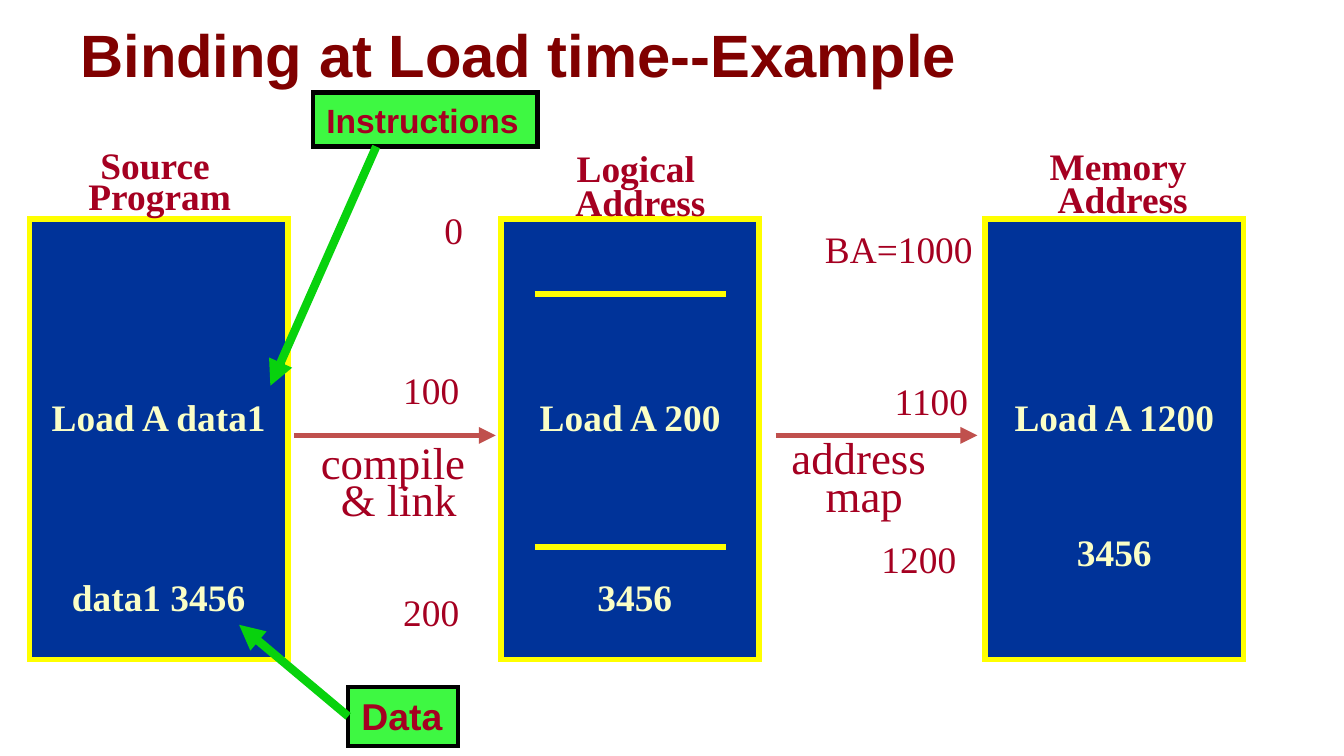
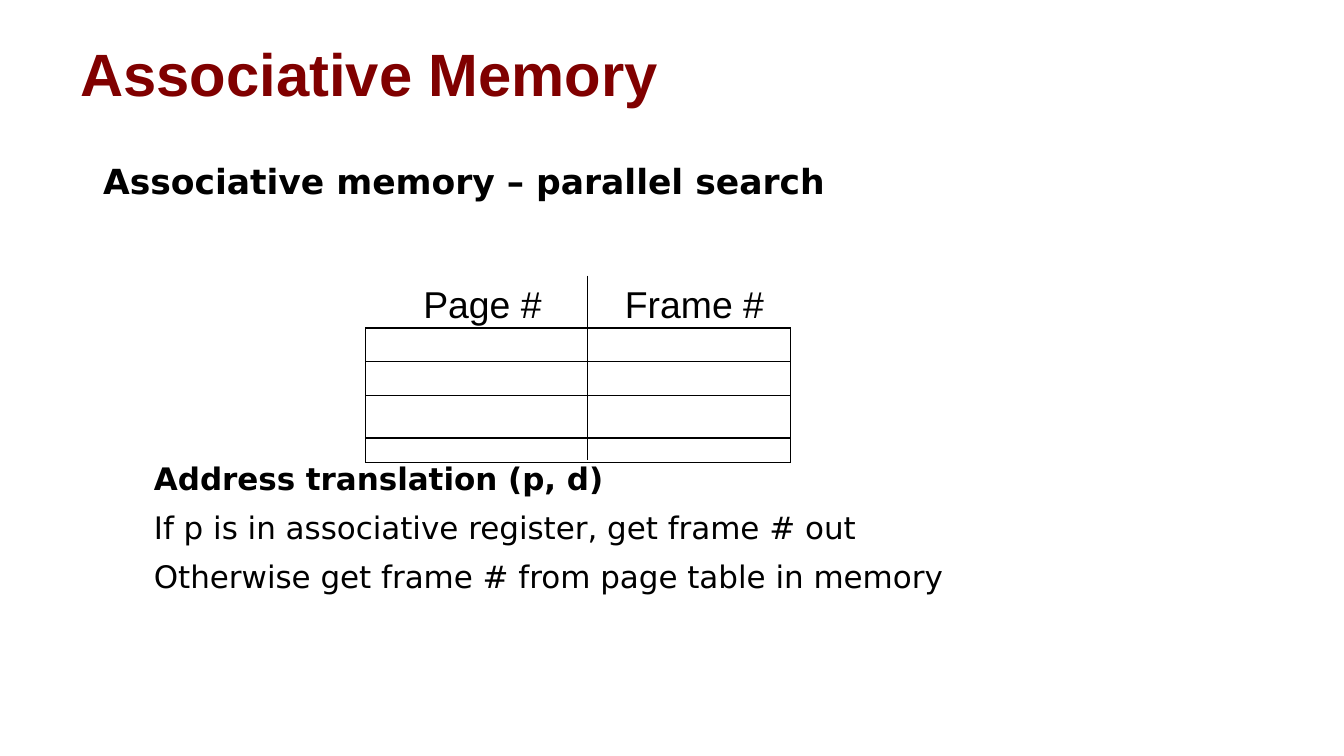
"""Build two slides on load-time binding and associative memory."""
from dataclasses import dataclass

from lxml import etree
from pptx import Presentation
from pptx.dml.color import RGBColor
from pptx.enum.shapes import MSO_CONNECTOR, MSO_SHAPE
from pptx.enum.text import MSO_ANCHOR, MSO_AUTO_SIZE, PP_ALIGN
from pptx.oxml.ns import qn
from pptx.util import Cm, Pt

STRAIGHT = MSO_CONNECTOR.STRAIGHT
RECTANGLE = MSO_SHAPE.RECTANGLE
TOP, MIDDLE, BOTTOM = MSO_ANCHOR.TOP, MSO_ANCHOR.MIDDLE, MSO_ANCHOR.BOTTOM
FIXED = MSO_AUTO_SIZE.NONE
LEFT, CENTER = PP_ALIGN.LEFT, PP_ALIGN.CENTER
LEFT_SIDE = 1


@dataclass(frozen=True)
class Theme:
    """Colours, fonts and type sizes of the deck."""
    title: str = "800000"
    label: str = "A50021"
    panel: str = "003399"
    panel_text: str = "FAFEC6"
    yellow: str = "FFFF00"
    flow: str = "C0504D"
    callout: str = "3EF842"
    pointer: str = "08D20D"
    black: str = "000000"
    white: str = "FFFFFF"
    sans: str = "Arial"
    serif: str = "Times New Roman"
    body: str = "DejaVu Sans"
    title_size: float = 32
    step_size: float = 24
    label_size: float = 20
    callout_size: float = 18
    lead_size: float = 18.5
    body_size: float = 16.6


def write(para, text, *, size, font, color, bold=False, align=LEFT,
          spacing=None, before=None, after=None, indent=0):
    """Write text into a paragraph with the given format."""
    para.alignment = align
    if spacing is not None:
        para.line_spacing = spacing
    if before is not None:
        para.space_before = Pt(before)
    if after is not None:
        para.space_after = Pt(after)
    if indent:
        para._p.get_or_add_pPr().set("marL", str(Cm(indent)))
    span = para.add_run()
    span.text = text
    span.font.size = Pt(size)
    span.font.name = font
    span.font.bold = bold
    span.font.color.rgb = RGBColor.from_string(color)


class SlideWriter:
    """Hold the theme and the current slide, and draw elements on it."""

    def __init__(self, deck, theme):
        """Keep the deck and its theme."""
        self.deck = deck
        self.theme = theme
        self.page = None

    def start(self, title, top):
        """Add a blank slide with a title."""
        self.page = self.deck.slides.add_slide(self.deck.slide_layouts[6])
        theme = self.theme
        self.text([title], 1.27, top, 22.86, 1.45, wrap=True, anchor=BOTTOM,
                  size=theme.title_size, font=theme.sans,
                  color=theme.title, bold=True)

    def fill(self, box, lines, *, wrap=False, anchor=TOP, bottom=0.13,
             **style):
        """Fill a box with lines, each a text or a text with own format."""
        frame = box.text_frame
        frame.word_wrap = wrap
        frame.auto_size = FIXED
        frame.vertical_anchor = anchor
        frame.margin_left = frame.margin_right = Cm(0.25)
        frame.margin_top, frame.margin_bottom = Cm(0.13), Cm(bottom)
        for index, line in enumerate(lines):
            text, own = (line, {}) if isinstance(line, str) else line
            para = frame.add_paragraph() if index else frame.paragraphs[0]
            write(para, text, **{**style, **own})

    def text(self, lines, left, top, width, height, **style):
        """Add a text box."""
        box = self.page.shapes.add_textbox(
            Cm(left), Cm(top), Cm(width), Cm(height))
        self.fill(box, lines, **style)

    def label(self, lines, left, top, width, height, **style):
        """Add a dark red serif label."""
        theme = self.theme
        self.text(lines, left, top, width, height,
                  **{"size": theme.label_size, "font": theme.serif,
                     "color": theme.label, **style})

    def rectangle(self, left, top, width, height, fill, line, weight):
        """Add a rectangle with a sharp-cornered outline."""
        box = self.page.shapes.add_shape(
            RECTANGLE, Cm(left), Cm(top), Cm(width), Cm(height))
        box.shadow.inherit = False
        box.fill.solid()
        box.fill.fore_color.rgb = RGBColor.from_string(fill)
        box.line.color.rgb = RGBColor.from_string(line)
        box.line.width = Pt(weight)
        etree.SubElement(box.line._get_or_add_ln(), qn("a:miter"),
                         lim="800000")
        return box

    def panel(self, left, instruction, data, gap, bottom):
        """Add a memory panel with an instruction above its data."""
        theme = self.theme
        box = self.rectangle(left, 4.14, 4.88, 8.33, theme.panel,
                             theme.yellow, 3)
        self.fill(box, [instruction, (data, {"before": gap})], anchor=BOTTOM,
                  bottom=bottom, size=theme.label_size, font=theme.serif,
                  color=theme.panel_text, bold=True, align=CENTER)

    def callout(self, text, left, top, width, height, size, gap):
        """Add a green callout box."""
        theme = self.theme
        box = self.rectangle(left, top, width, height, theme.callout,
                             theme.black, 2.25)
        self.fill(box, [text], size=size, font=theme.sans,
                  color=theme.label, bold=True, before=gap, after=gap)
        return box

    def line(self, x1, y1, x2, y2, color, weight, arrow=False):
        """Add a straight line, with an arrowhead at its end on request."""
        line = self.page.shapes.add_connector(
            STRAIGHT, Cm(x1), Cm(y1), Cm(x2), Cm(y2))
        line.line.color.rgb = RGBColor.from_string(color)
        line.line.width = Pt(weight)
        if arrow:
            outline = line.line._get_or_add_ln()
            etree.SubElement(outline, qn("a:tailEnd"), type="triangle")
        etree.SubElement(line._element.spPr, qn("a:effectLst"))
        return line


def build_binding(writer):
    """Draw the load-time binding example."""
    theme = writer.theme
    writer.start("Binding at Load time--Example", 0.38)

    for left, instruction, data, gap, bottom in (
            (0.56, "Load A data1", "data1 3456", 72.5, 0.76),
            (9.47, "Load A 200", " 3456", 72.5, 0.76),
            (18.62, "Load A 1200", "3456", 48.4, 1.62)):
        writer.panel(left, instruction, data, gap, bottom)

    for lines, left, top, width, height, spacing in (
            (["Source ", "Program"], 1.42, 2.79, 3.2, 1.45, 0.7),
            (["Logical ", "Address"], 10.62, 2.82, 2.97, 1.52, 0.75),
            (["Memory ", "Address"], 19.58, 2.77, 3.28, 1.52, 0.75)):
        writer.label(lines, left, top, width, height, bold=True,
                     align=CENTER, spacing=spacing)

    for address, left, top, width in (
            ("0", 8.15, 3.78, 0.9), ("100", 7.37, 6.81, 1.65),
            ("200", 7.37, 11, 1.65), ("BA=1000", 15.34, 4.14, 3.35),
            ("1100", 16.66, 7.01, 2), ("1200", 16.41, 10.01, 2)):
        writer.label([address], left, top, width, 1.12)

    for lines, left, top, width, start in (
            (["compile ", "& link"], 5.82, 8.36, 3.43, 5.56),
            (["address ", "map"], 14.71, 8.28, 3.25, 14.66)):
        writer.label(lines, left, top, width, 1.68, size=theme.step_size,
                     align=CENTER, spacing=0.7)
        writer.line(start, 8.23, start + 3.81, 8.23, theme.flow, 3, arrow=True)

    for divider in (5.56, 10.34):
        writer.line(10.11, divider, 13.72, divider, theme.yellow, 3)

    writer.callout("Instructions", 5.92, 1.75, 4.24, 1.02,
                   theme.callout_size, 4.5)
    writer.line(7.11, 2.77, 5.11, 7.29, theme.pointer, 4.5, arrow=True)
    data_box = writer.callout("Data", 6.58, 12.98, 2.08, 1.12,
                              theme.label_size, 5)
    pointer = writer.line(6.58, 13.54, 4.52, 11.81, theme.pointer, 4.5,
                          arrow=True)
    pointer.begin_connect(data_box, LEFT_SIDE)


def build_associative(writer):
    """Draw the associative memory slide."""
    theme = writer.theme
    writer.start("Associative Memory", 0.74)
    writer.text([
        ("Associative memory – parallel search",
         {"size": theme.lead_size, "bold": True, "indent": 0}),
        ("Address translation (p, d)", {"bold": True, "before": 136}),
        "If p is in associative register, get frame # out",
        "Otherwise get frame # from page table in memory",
    ], 1.7, 2.82, 20.42, 9.35, wrap=True, size=theme.body_size,
        font=theme.body, color=theme.black, spacing=1.1, before=4.5,
        indent=0.96)

    left, right = 6.91, 14.94
    writer.rectangle(left, 6.2, right - left, 2.54, theme.white,
                     theme.black, 0.75)
    writer.line(11.1, 5.21, 11.1, 8.69, theme.black, 0.75)
    for row in (6.83, 7.47, 8.28):
        writer.line(left, row, right, row, theme.black, 0.75)
    for heading, start in (("Page #", 7.75), ("Frame #", 11.56)):
        writer.text([heading], start, 5.41, 3.61, 0.64, anchor=MIDDLE,
                    size=theme.label_size, font=theme.sans,
                    color=theme.black)


def main():
    """Build and save the deck."""
    deck = Presentation()
    deck.slide_width, deck.slide_height = Cm(25.4), Cm(14.29)
    writer = SlideWriter(deck, Theme())
    build_binding(writer)
    build_associative(writer)
    deck.save("out.pptx")


if __name__ == "__main__":
    main()
